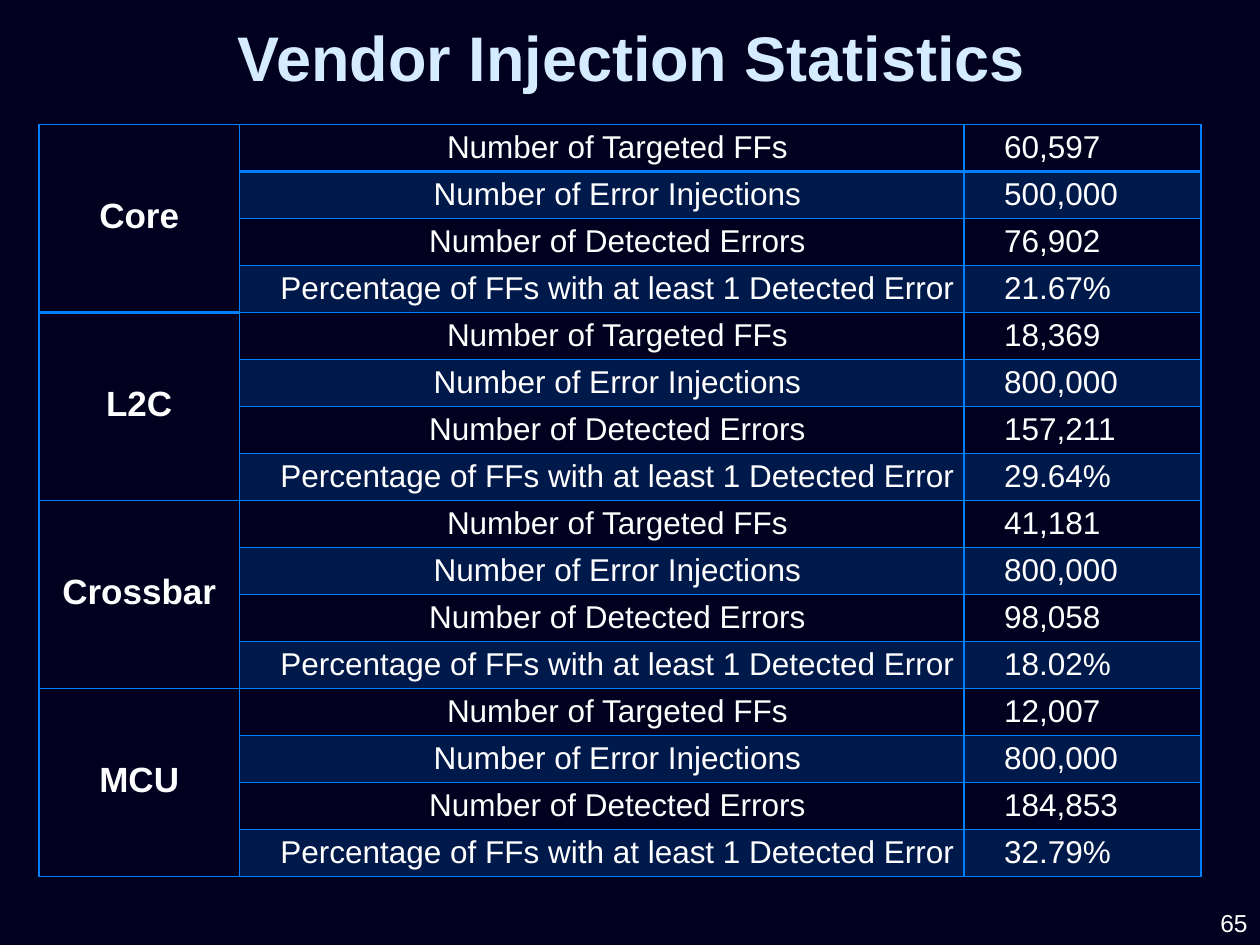
from lxml import etree
from pptx import Presentation
from pptx.dml.color import RGBColor
from pptx.enum.text import MSO_ANCHOR, PP_ALIGN
from pptx.oxml.ns import qn
from pptx.util import Pt

NAVY = RGBColor(0x01, 0x00, 0x1E)
BLUE = RGBColor(0x00, 0x80, 0xFF)
PALE_BLUE = RGBColor(0xD5, 0xEB, 0xFF)
WHITE = RGBColor(0xFF, 0xFF, 0xFF)

MEASURES = [
    "Number of Targeted FFs",
    "Number of Error Injections",
    "Number of Detected Errors",
    "Percentage of FFs with at least 1 Detected Error",
]
RESULTS = {
    "Core": ["60,597", "500,000", "76,902", "21.67%"],
    "L2C": ["18,369", "800,000", "157,211", "29.64%"],
    "Crossbar": ["41,181", "800,000", "98,058", "18.02%"],
    "MCU": ["12,007", "800,000", "184,853", "32.79%"],
}
GROUP_SIZE = len(MEASURES)
COLUMN_WIDTHS = [114.5, 414, 135.5]
ROW_HEIGHT = 26.9


class SlideBuilder:
    def __init__(self, page, font_name="Arial"):
        self.page = page
        self.font_name = font_name
        page.background.fill.solid()
        page.background.fill.fore_color.rgb = NAVY

    def set_text(self, frame, text, size, color=WHITE, bold=False, align=PP_ALIGN.CENTER):
        frame.text = text
        para = frame.paragraphs[0]
        para.alignment = align
        para.font.name = self.font_name
        para.font.size = Pt(size)
        para.font.bold = bold
        para.font.color.rgb = color
        return para

    def title(self, text, left, top, width, height):
        box = self.page.shapes.title
        box.left, box.top, box.width, box.height = map(Pt, (left, top, width, height))
        box.text_frame.vertical_anchor = MSO_ANCHOR.MIDDLE
        self.set_text(box.text_frame, text, 36, PALE_BLUE, bold=True)

    def page_number(self, text, left, top, width, height):
        box = self.page.shapes.add_textbox(*map(Pt, (left, top, width, height)))
        box.text_frame.word_wrap = True
        box.text_frame.vertical_anchor = MSO_ANCHOR.MIDDLE
        self.set_text(box.text_frame, text, 14, align=PP_ALIGN.RIGHT)

    def table(self, left, top, column_widths, row_count, row_height):
        frame = self.page.shapes.add_table(
            row_count, len(column_widths), Pt(left), Pt(top),
            Pt(sum(column_widths)), Pt(row_count * row_height))
        table = frame.table
        table.first_row = table.horz_banding = False
        for column, width in zip(table.columns, column_widths):
            column.width = Pt(width)
        for row in table.rows:
            row.height = Pt(row_height)
        return table

    def cell(self, cell, text, size=18, bold=False, align=PP_ALIGN.CENTER,
             indent=18, shaded=False, top_line=1, bottom_line=1):
        cell.vertical_anchor = MSO_ANCHOR.MIDDLE
        cell.margin_left = cell.margin_right = Pt(5)
        cell.margin_top = cell.margin_bottom = 0
        para = self.set_text(cell.text_frame, text, size, bold=bold, align=align)
        para.line_spacing = Pt(20)
        para._p.get_or_add_pPr().set("indent", str(Pt(indent)))
        if shaded:
            cell.fill.solid()
            cell.fill.fore_color.rgb = BLUE
            tint = cell._tc.tcPr.find(".//" + qn("a:srgbClr"))
            etree.SubElement(tint, qn("a:alpha"), val="20000")
        else:
            cell.fill.background()
        self.borders(cell, {"lnL": 1, "lnR": 1, "lnT": top_line, "lnB": bottom_line})

    def borders(self, cell, widths):
        """Put the edge lines before the fill, as the schema orders them."""
        for position, (edge, width) in enumerate(widths.items()):
            line = etree.Element(qn("a:" + edge), w=str(Pt(width)))
            fill = etree.SubElement(line, qn("a:solidFill"))
            etree.SubElement(fill, qn("a:srgbClr"), val=str(BLUE))
            cell._tc.tcPr.insert(position, line)


def fill_results(builder, table):
    for group, (component, values) in enumerate(RESULTS.items()):
        first = group * GROUP_SIZE
        heading = table.cell(first, 0)
        heading.merge(table.cell(first + GROUP_SIZE - 1, 0))
        builder.cell(heading, component, size=20, bold=True, indent=0,
                     top_line=2 if group == 1 else 1,
                     bottom_line=2 if group == 0 else 1)
        for row, (measure, value) in enumerate(zip(MEASURES, values), first):
            look = {
                "shaded": row % 2 == 1,
                "top_line": 2 if row == 1 else 1,
                "bottom_line": 2 if row == 0 else 1,
            }
            builder.cell(table.cell(row, 1), measure, **look)
            builder.cell(table.cell(row, 2), value, align=PP_ALIGN.JUSTIFY, **look)


def main():
    deck = Presentation()
    deck.slide_width, deck.slide_height = Pt(720), Pt(540)
    title_only = deck.slide_layouts[5]
    builder = SlideBuilder(deck.slides.add_slide(title_only))
    builder.title("Vendor Injection Statistics", 8, 6.5, 706, 51)
    table = builder.table(22.3, 71, COLUMN_WIDTHS, len(RESULTS) * GROUP_SIZE, ROW_HEIGHT)
    fill_results(builder, table)
    builder.page_number("65", 589, 515, 131, 25)
    deck.save("out.pptx")


if __name__ == "__main__":
    main()
